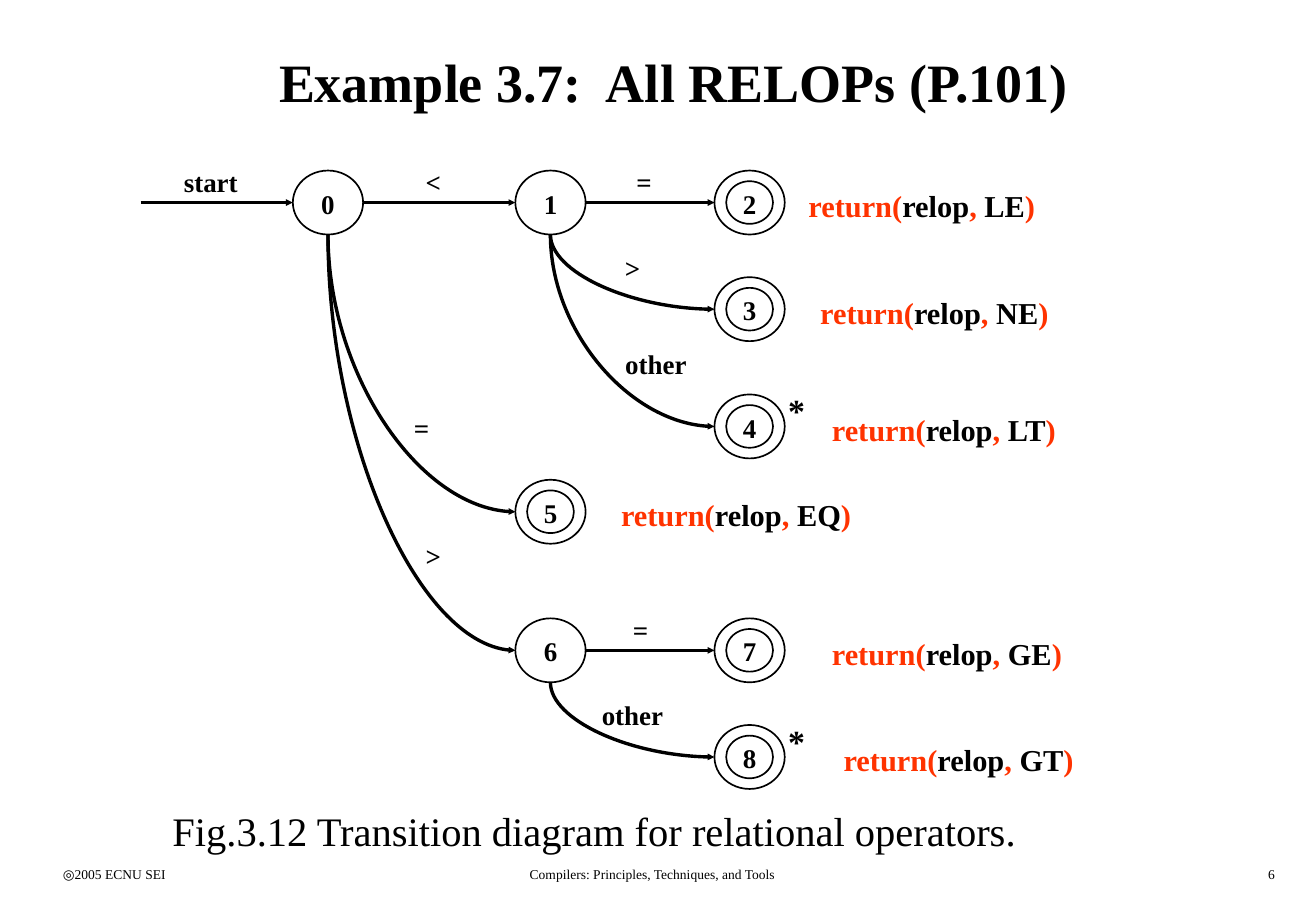
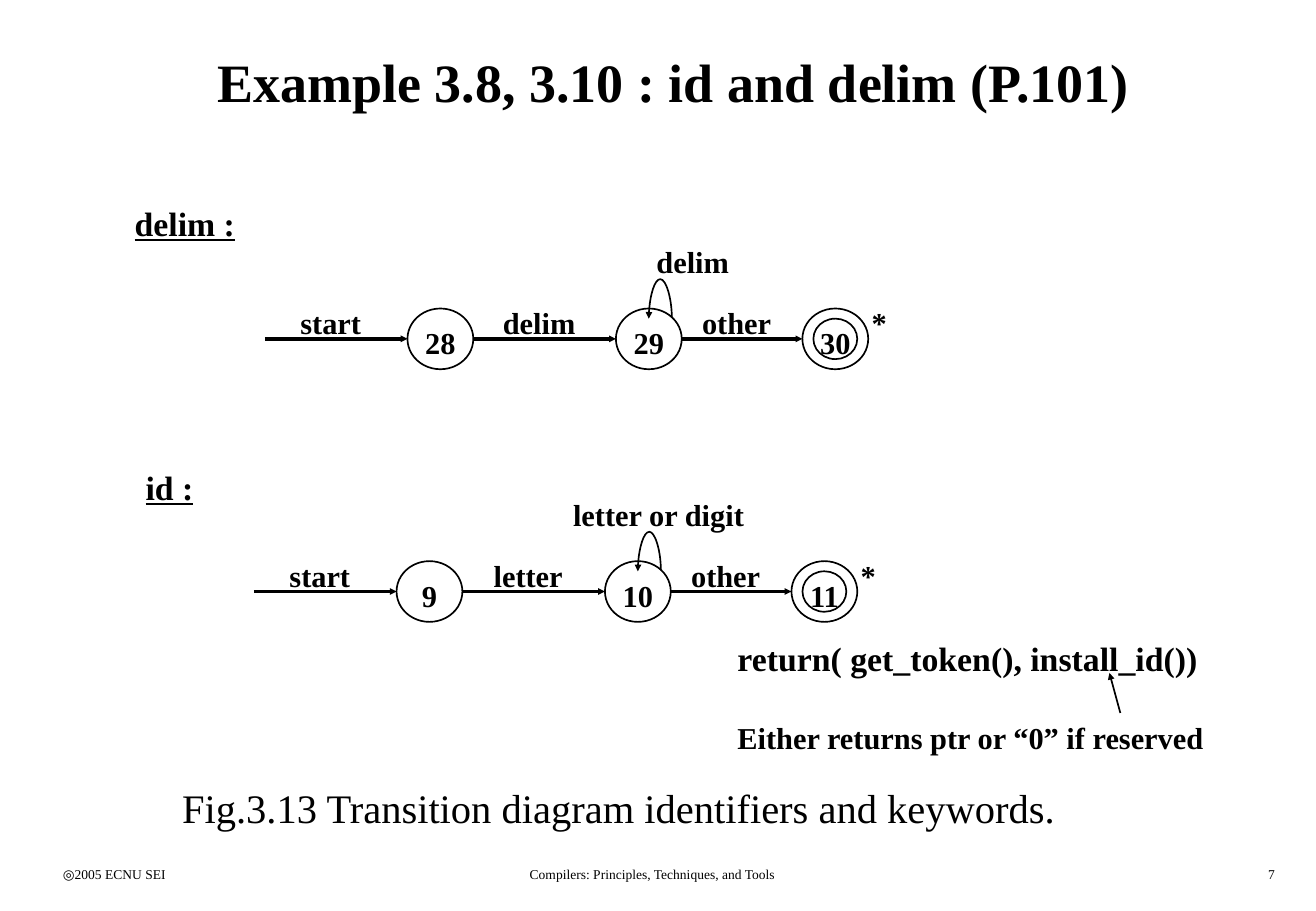
import dataclasses
from typing import Any

import lxml.etree
import pptx
import pptx.dml.color
import pptx.enum.shapes
import pptx.enum.text
import pptx.oxml.ns
import pptx.util

BLACK = pptx.dml.color.RGBColor(0x00, 0x00, 0x00)
RED = pptx.dml.color.RGBColor(0xFF, 0x33, 0x00)
FONT = "Times New Roman"
SLIDE_WIDTH = pptx.util.Inches(10.83)
SLIDE_HEIGHT = pptx.util.Inches(7.5)

ALIGN = pptx.enum.text.PP_ALIGN
ANCHOR = pptx.enum.text.MSO_ANCHOR
CONNECTOR = pptx.enum.shapes.MSO_CONNECTOR
qn = pptx.oxml.ns.qn

SITES = {
    "top": (0.5, 0, 0),
    "left": (0, 0.5, 2),
    "bottom": (0.5, 1, 4),
    "right": (1, 0.5, 6),
    "upper right": (0.85, 0.15, 7),
}


@dataclasses.dataclass
class Grid:
    left: float
    top: float
    column: int
    row: int

    def x(self, columns):
        return round(self.left + columns * self.column)

    def y(self, rows):
        return round(self.top + rows * self.row)


@dataclasses.dataclass
class State:
    circle: Any
    label: Any


@dataclasses.dataclass
class End:
    x: int
    y: int
    shape: Any = None
    site: int = 0


PAGE = Grid(0, 0, pptx.util.Inches(1), pptx.util.Inches(1))
RELOP = Grid(0, 0, pptx.util.Pt(6.94), pptx.util.Pt(6.32))


def add_text(slide, grid, column, row, width, text, size=16, bold=True,
             align=ALIGN.CENTER, underline=None, height=None):
    height = pptx.util.Inches(height) if height else pptx.util.Pt(size * 1.2 + 7.2)
    box = slide.shapes.add_textbox(grid.x(column), grid.y(row),
                                   round(width * grid.column), height)
    box.text_frame.word_wrap = True
    paragraph = box.text_frame.paragraphs[0]
    paragraph.alignment = align
    font_format = {"name": FONT, "size": pptx.util.Pt(size), "bold": bold,
                   "underline": underline}
    parts = [(text, BLACK)] if isinstance(text, str) else text
    for words, color in parts:
        run = paragraph.add_run()
        run.text = words
        run.font.color.rgb = color
        for name, value in font_format.items():
            setattr(run.font, name, value)
    return box


def add_circle(slide, grid, column, row, size):
    circle = slide.shapes.add_shape(
        pptx.enum.shapes.MSO_SHAPE.OVAL, grid.x(column), grid.y(row),
        size * grid.column, size * grid.row)
    circle.shadow.inherit = False
    circle.fill.background()
    circle.line.color.rgb = BLACK
    circle.line.width = pptx.util.Pt(1)
    return circle


def add_state(slide, grid, column, row, name, accepting=False, size=16):
    circle = add_circle(slide, grid, column, row, 6)
    if accepting:
        add_circle(slide, grid, column + 1, row + 1, 4)
    width = 4 if len(name) == 1 else 6
    label = add_text(slide, grid, column + (6 - width) / 2, row + 1, width, name, size)
    return State(circle, label)


def end_at(shape, side):
    across, down, site = SITES[side]
    return End(round(shape.left + across * shape.width),
               round(shape.top + down * shape.height), shape, site)


def finish_arrow(connector, start, end, weight):
    connector.line.color.rgb = BLACK
    connector.line.width = pptx.util.Pt(weight)
    properties = connector._element.spPr
    lxml.etree.SubElement(properties.find(qn("a:ln")), qn("a:tailEnd"),
                          type="triangle", w="sm", len="sm")
    lxml.etree.SubElement(properties, qn("a:effectLst"))
    joints = connector._element.find(".//" + qn("p:cNvCxnSpPr"))
    for tag, joint in (("a:stCxn", start), ("a:endCxn", end)):
        if joint.shape is not None:
            lxml.etree.SubElement(joints, qn(tag), id=str(joint.shape.shape_id),
                                  idx=str(joint.site))


def add_arrow(slide, start, end, weight=2):
    connector = slide.shapes.add_connector(CONNECTOR.STRAIGHT, start.x, start.y,
                                           end.x, end.y)
    finish_arrow(connector, start, end, weight)


def add_curve(slide, start, end, preset, flips, weight, rise=0):
    middle_x, middle_y = (start.x + end.x) / 2, (start.y + end.y) / 2
    width, height = abs(end.y - start.y), abs(end.x - start.x)
    left, top = round(middle_x - width / 2), round(middle_y - height / 2)
    connector = slide.shapes.add_connector(CONNECTOR.CURVE, left, top,
                                           left + width, top + height)
    properties = connector._element.spPr
    frame = properties.find(qn("a:xfrm"))
    frame.set("rot", "16200000")
    for flip in flips:
        frame.set(flip, "1")
    geometry = properties.find(qn("a:prstGeom"))
    geometry.set("prst", preset)
    if rise:
        adjust = round(-rise * 100000 / width)
        lxml.etree.SubElement(geometry.find(qn("a:avLst")), qn("a:gd"),
                              name="adj1", fmla=f"val {adjust}")
    finish_arrow(connector, start, end, weight)


def add_branch(slide, source, target):
    add_curve(slide, end_at(source.circle, "bottom"), end_at(target.circle, "left"),
              "curvedConnector2", ["flipH"], 2)


def add_step(slide, source, target):
    add_arrow(slide, end_at(source.circle, "right"), end_at(target.circle, "left"))


def add_loop(slide, state):
    add_curve(slide, end_at(state.circle, "upper right"), end_at(state.label, "top"),
              "curvedConnector3", ["flipH", "flipV"], 1, pptx.util.Inches(0.32))


def add_start(slide, grid, column, row, state):
    add_arrow(slide, End(grid.x(column), grid.y(row)), end_at(state.circle, "left"))


def add_page(presentation, title, number):
    slide = presentation.slides.add_slide(presentation.slide_layouts[6])
    heading = add_text(slide, PAGE, 0.42, 0.17, 10.25, title, 32, height=1)
    heading.text_frame.vertical_anchor = ANCHOR.MIDDLE
    for left, width, text, align in (
            (0.42, 2.26, "◎2005 ECNU SEI", ALIGN.LEFT),
            (3.34, 4.06, "Compilers: Principles, Techniques, and Tools", ALIGN.CENTER),
            (8.33, 2.26, str(number), ALIGN.RIGHT)):
        add_text(slide, PAGE, left, 7.08, width, text, 8, False, align, height=0.25)
    return slide


def add_relop_slide(presentation):
    slide = add_page(presentation, "Example 3.7:  All RELOPs (P.101)", 6)
    states = {}
    for name, column, row, result_column, result in (
            ("0", 25, 16, None, None), ("1", 44, 16, None, None),
            ("2", 61, 16, 68, "LE"), ("3", 61, 26, 69, "NE"),
            ("4", 61, 37, 70, "LT"), ("5", 44, 45, 52, "EQ"),
            ("6", 44, 58, None, None), ("7", 61, 58, 70, "GE"),
            ("8", 61, 68, 71, "GT")):
        states[name] = add_state(slide, RELOP, column, row, name, bool(result))
        if result:
            parts = [("return(", RED), ("relop", BLACK), (", ", RED),
                     (result, BLACK), (")", RED)]
            add_text(slide, RELOP, result_column, row + 1, 35, parts, 18,
                     align=ALIGN.LEFT)
    add_start(slide, RELOP, 12, 19, states["0"])
    for source, target in ("01", "12", "67"):
        add_step(slide, states[source], states[target])
    for source, target in ("13", "14", "05", "06", "68"):
        add_branch(slide, states[source], states[target])
    for column, row, text in (
            (13, 15, "start"), (32, 15, "<"), (50, 15, "="), (49, 23, ">"),
            (51, 32, "other"), (31, 38, "="), (32, 50, ">"), (49.7, 57, "="),
            (49, 65, "other")):
        add_text(slide, RELOP, column, row, 10, text)
    for row in (36, 67):
        add_text(slide, RELOP, 66, row, 4, "*", 20)
    add_text(slide, PAGE, 1.32, 6.59, 7.48,
             "Fig.3.12 Transition diagram for relational operators.", 24, False,
             ALIGN.LEFT)


def add_token_diagram(slide, left, top, names, symbol, loop_text, loop_align):
    grid = Grid(pptx.util.Inches(left), pptx.util.Inches(top),
                pptx.util.Pt(6.5), pptx.util.Pt(6))
    first, middle, last = [
        add_state(slide, grid, column, 0, name, column == 49, 18)
        for column, name in zip((13, 32, 49), names)]
    add_start(slide, grid, 0, 3, first)
    add_step(slide, first, middle)
    add_step(slide, middle, last)
    add_loop(slide, middle)
    for column, width, text in ((1, 10, "start"), (20, 10, symbol),
                                (38, 10, "other"), (53, 6, "*")):
        add_text(slide, grid, column, -1, width, text, 18)
    add_text(slide, grid, 28, -7, 22, loop_text, 18, align=loop_align)


def add_token_slide(presentation):
    slide = add_page(presentation, "Example 3.8, 3.10 : id and delim (P.101)", 7)
    add_token_diagram(slide, 2.18, 2.54, ("28", "29", "30"), "delim", "delim",
                      ALIGN.CENTER)
    add_token_diagram(slide, 2.09, 4.62, ("9", "10", "11"), "letter",
                      "letter or digit", ALIGN.LEFT)
    for left, top, width, text, size, bold, underline in (
            (1.01, 1.62, 1.17, "delim :", 20, True, True),
            (1.1, 3.79, 0.9, "id :", 20, True, True),
            (5.97, 5.2, 4.42, "return( get_token(), install_id())", 20, True, None),
            (5.97, 5.87, 4.42, "Either returns ptr or “0” if reserved", 18, True, None),
            (1.4, 6.4, 7.64, "Fig.3.13 Transition diagram identifiers and keywords.",
             24, False, None)):
        add_text(slide, PAGE, left, top, width, text, size, bold, ALIGN.LEFT, underline)
    add_arrow(slide, End(PAGE.x(9.22), PAGE.y(5.87)), End(PAGE.x(9.13), PAGE.y(5.54)), 1)


def main():
    presentation = pptx.Presentation()
    presentation.slide_width = SLIDE_WIDTH
    presentation.slide_height = SLIDE_HEIGHT
    add_relop_slide(presentation)
    add_token_slide(presentation)
    presentation.save("out.pptx")


if __name__ == "__main__":
    main()
